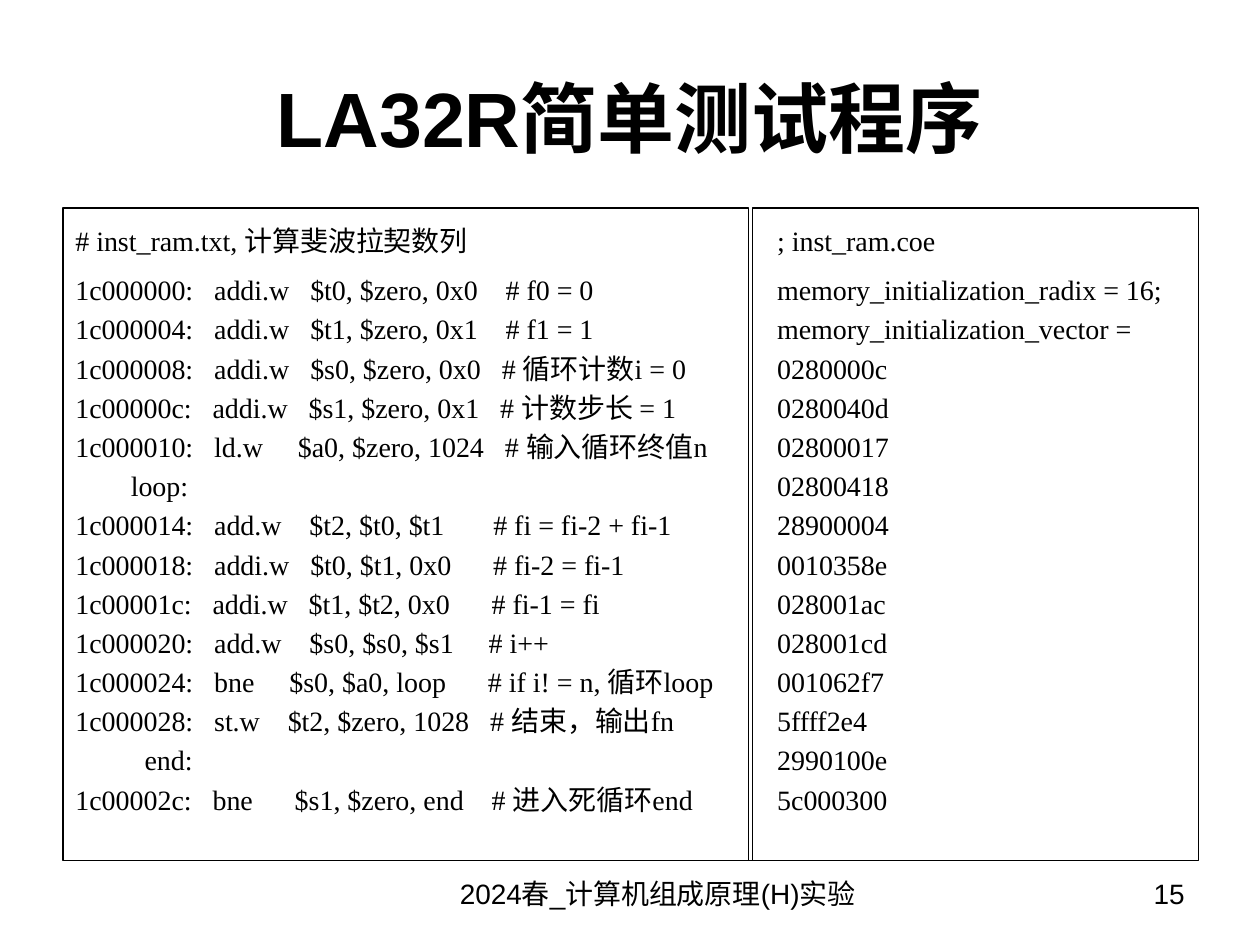
from lxml import etree
from pptx import Presentation
from pptx.dml.color import RGBColor
from pptx.enum.shapes import MSO_CONNECTOR, MSO_SHAPE
from pptx.enum.text import MSO_ANCHOR, PP_ALIGN
from pptx.oxml.ns import qn
from pptx.util import Inches, Pt

LEFT, CENTER, RIGHT = PP_ALIGN.LEFT, PP_ALIGN.CENTER, PP_ALIGN.RIGHT
TOP, MIDDLE = MSO_ANCHOR.TOP, MSO_ANCHOR.MIDDLE
RECTANGLE = MSO_SHAPE.RECTANGLE
STRAIGHT = MSO_CONNECTOR.STRAIGHT
TITLE_ONLY = 5

COLORS = {"ink": "000000"}
HEADING_FONT = "Arial"
CODE_FONT = "Times New Roman"
BODY_SIZE = 16
LINE_GAP = 0.2 * BODY_SIZE
LABEL_INDENTS = {"loop:": 0.44, "end:": 0.55}
VECTOR_INDENT = 0.1
PANEL_TOP, PANEL_HEIGHT = 1.65, 5.18
FOOTER_TOP, FOOTER_HEIGHT = 6.83, 0.52

PROGRAM = [
    "# inst_ram.txt, 计算斐波拉契数列",
    "1c000000:   addi.w   $t0, $zero, 0x0    # f0 = 0",
    "1c000004:   addi.w   $t1, $zero, 0x1    # f1 = 1",
    "1c000008:   addi.w   $s0, $zero, 0x0   # 循环计数i = 0",
    "1c00000c:   addi.w   $s1, $zero, 0x1   # 计数步长 = 1",
    "1c000010:   ld.w     $a0, $zero, 1024   # 输入循环终值n",
    "loop:",
    "1c000014:   add.w    $t2, $t0, $t1       # fi = fi-2 + fi-1",
    "1c000018:   addi.w   $t0, $t1, 0x0      # fi-2 = fi-1",
    "1c00001c:   addi.w   $t1, $t2, 0x0      # fi-1 = fi",
    "1c000020:   add.w    $s0, $s0, $s1     # i++",
    "1c000024:   bne     $s0, $a0, loop      # if i! = n, 循环loop",
    "1c000028:   st.w    $t2, $zero, 1028   # 结束，输出fn",
    "end:",
    "1c00002c:   bne      $s1, $zero, end    # 进入死循环end",
]
VECTOR = [
    "; inst_ram.coe",
    "memory_initialization_radix = 16;",
    "memory_initialization_vector =",
    "0280000c", "0280040d", "02800017", "02800418", "28900004", "0010358e",
    "028001ac", "028001cd", "001062f7", "5ffff2e4", "2990100e", "5c000300",
]


def color(name):
    return RGBColor.from_string(COLORS[name])


def place(shape, left, top, width, height):
    shape.left, shape.top = Inches(left), Inches(top)
    shape.width, shape.height = Inches(width), Inches(height)


def style_font(paragraph, name, size, bold=False):
    font = paragraph.font
    font.name, font.size, font.bold = name, Pt(size), bold
    font.color.rgb = color("ink")


def set_indent(paragraph, indent):
    properties = paragraph._p.get_or_add_pPr()
    properties.set("marL", str(Inches(indent)))
    properties.set("indent", "0")


def add_title(slide, text):
    title = slide.shapes.title
    place(title, 0.5, 0.3, 9, 1.25)
    title.text_frame.text = text
    title.text_frame.vertical_anchor = MIDDLE
    paragraph = title.text_frame.paragraphs[0]
    paragraph.alignment = CENTER
    style_font(paragraph, HEADING_FONT, 44, bold=True)


def add_code_panel(slide, left, width, lines, indent=0):
    panel = slide.shapes.add_shape(
        RECTANGLE, Inches(left), Inches(PANEL_TOP), Inches(width), Inches(PANEL_HEIGHT)
    )
    panel.shadow.inherit = False
    panel.fill.background()
    panel.line.color.rgb = color("ink")
    panel.line.width = Pt(0.75)
    frame = panel.text_frame
    frame.word_wrap = True
    frame.vertical_anchor = TOP
    frame.margin_left = frame.margin_right = Inches(0.1)
    frame.margin_top, frame.margin_bottom = Inches(0.12), Inches(0.05)
    for index, line in enumerate(lines):
        paragraph = frame.add_paragraph() if index else frame.paragraphs[0]
        paragraph.text = line
        paragraph.alignment = LEFT
        paragraph.space_before = Pt(LINE_GAP if index else 0)
        paragraph.space_after = Pt(0 if index else 6)
        set_indent(paragraph, LABEL_INDENTS.get(line, indent))
        style_font(paragraph, CODE_FONT, BODY_SIZE)


def add_footer_text(slide, left, width, text, alignment):
    box = slide.shapes.add_textbox(
        Inches(left), Inches(FOOTER_TOP), Inches(width), Inches(FOOTER_HEIGHT)
    )
    frame = box.text_frame
    frame.word_wrap = True
    frame.vertical_anchor = MIDDLE
    paragraph = frame.paragraphs[0]
    paragraph.text = text
    paragraph.alignment = alignment
    style_font(paragraph, HEADING_FONT, BODY_SIZE)


def add_footer_rule(slide):
    rule = slide.shapes.add_connector(
        STRAIGHT, Inches(0.5), Inches(FOOTER_TOP), Inches(9.5), Inches(FOOTER_TOP)
    )
    rule.line.color.rgb = color("ink")
    rule.line.width = Pt(0.75)
    etree.SubElement(rule._element.spPr, qn("a:effectLst"))


def main():
    presentation = Presentation()
    presentation.slide_width, presentation.slide_height = Inches(10), Inches(7.5)
    slide = presentation.slides.add_slide(presentation.slide_layouts[TITLE_ONLY])
    add_footer_rule(slide)
    add_title(slide, "LA32R简单测试程序")
    add_code_panel(slide, 0.5, 5.44, PROGRAM)
    add_code_panel(slide, 5.97, 3.54, VECTOR, VECTOR_INDENT)
    add_footer_text(slide, 2.83, 4.83, "2024春_计算机组成原理(H)实验 ", CENTER)
    add_footer_text(slide, 7.67, 1.83, "15", RIGHT)
    presentation.save("out.pptx")


if __name__ == "__main__":
    main()
